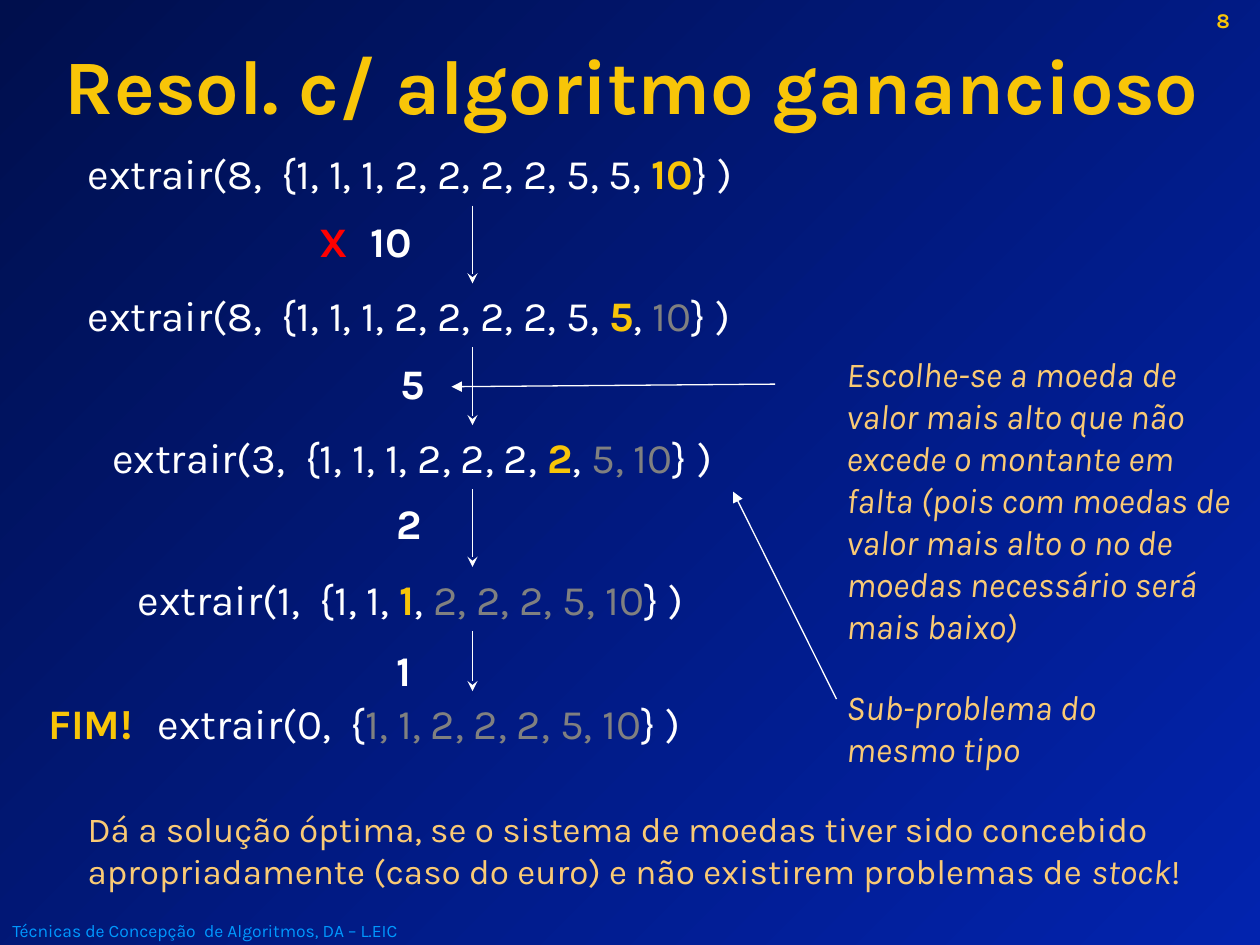
from lxml.etree import SubElement
from pptx import Presentation
from pptx.dml.color import RGBColor
from pptx.enum.shapes import MSO_CONNECTOR as Connector, MSO_SHAPE as Shape
from pptx.enum.text import MSO_ANCHOR as Anchor, PP_ALIGN as Align
from pptx.oxml.ns import qn
from pptx.util import Pt

WHITE, GOLD, SAND, GREY = "FFFFFF", "F8C508", "FACA74", "808080"
RED, BLUE = "FF0000", "0099FF"
NAVY, ROYAL = "000F4D", "0223AE"

# Content: each call is (top, width, amount, free coins, chosen coin, used coins)
TITLE = "Resol. c/ algoritmo ganancioso"
FOOTER = "Técnicas de Concepção  de Algoritmos, DA – L.EIC"
CALLS = [
    (81, 454, 8, "1, 1, 1, 2, 2, 2, 2, 5, 5, ", "10", ""),
    (162, 454, 8, "1, 1, 1, 2, 2, 2, 2, 5, ", "5", "10"),
    (243, 426, 3, "1, 1, 1, 2, 2, 2, ", "2", "5, 10"),
    (324, 397, 1, "1, 1, ", "1", "2, 2, 2, 5, 10"),
    (395, 374, 0, "", "", "1, 1, 2, 2, 2, 5, 10"),
]
# Labels beside the calls: (text, left, top, width, colour, alignment)
LABELS = [
    ("X", 175.5, 119.5, 29, RED, Align.LEFT),
    ("10", 204.5, 119.5, 46, WHITE, Align.LEFT),
    ("5", 222, 201, 29, WHITE, Align.LEFT),
    ("2", 219.5, 281, 26, WHITE, Align.LEFT),
    ("1", 219.5, 365, 26, WHITE, Align.LEFT),
    ("FIM!", 11.5, 395, 71.5, GOLD, Align.RIGHT),
]
CHOICE = ("Escolhe-se a moeda de valor mais alto que não excede o montante em "
          "falta (pois com moedas de valor mais alto o nº de moedas necessário "
          "será mais baixo)")
SUBPROBLEM = "Sub-problema do mesmo tipo"
CONCLUSION = [
    ("Dá a solução óptima, se o sistema de moedas tiver sido concebido "
     "apropriadamente (caso do euro) e não existirem problemas de ", {}),
    ("stock", {"italic": True}),
    ("!", {}),
]
POINTERS = [(443, 219.5, 258, 221), (478, 399.5, 419, 281)]
CALL_AXIS, CALL_HEIGHT = 270, 36.5

prs = Presentation()
prs.slide_width, prs.slide_height = Pt(720), Pt(540)
slide = prs.slides.add_slide(prs.slide_layouts[6])


def rgb(value):
    return RGBColor.from_string(value)


def write(text, left, top, width, height, size=24, color=WHITE, bold=False,
          italic=False, align=Align.LEFT, anchor=Anchor.TOP, wrap=True,
          margins=(7.2, 3.6), outline=None):
    """Place text, either one string or a list of (text, format changes)."""
    place = [Pt(v) for v in (left, top, width, height)]
    if outline is None:
        box = slide.shapes.add_textbox(*place)
    else:
        box = slide.shapes.add_shape(outline, *place)
        box.shadow.inherit = False
        box.fill.background()
        box.line.fill.background()
    frame = box.text_frame
    frame.word_wrap, frame.vertical_anchor = wrap, anchor
    frame.margin_left = frame.margin_right = Pt(margins[0])
    frame.margin_top = frame.margin_bottom = Pt(margins[1])
    paragraph = frame.paragraphs[0]
    paragraph.alignment = align
    for words, changes in [(text, {})] if isinstance(text, str) else text:
        look = {"color": color, "bold": bold, "italic": italic, **changes}
        run = paragraph.add_run()
        run.text = words
        font = run.font
        font.name, font.size = "Karla", Pt(size)
        font.bold, font.italic = look["bold"], look["italic"]
        font.color.rgb = rgb(look["color"])


def arrow(x1, y1, x2, y2, head):
    line = slide.shapes.add_connector(
        Connector.STRAIGHT, Pt(x1), Pt(y1), Pt(x2), Pt(y2))
    line.line.color.rgb = rgb(WHITE)
    line.line.width = Pt(0.75)
    SubElement(line.line._get_or_add_ln(), qn("a:tailEnd"), type=head)
    SubElement(line._element.spPr, qn("a:effectLst"))


def call_runs(amount, free, chosen, used):
    runs = [
        (f"extrair({amount},  {{{free}", {}),
        (chosen, {"color": GOLD, "bold": True}),
        (", " if chosen and used else "", {}),
        (used, {"color": GREY}),
        ("} )", {}),
    ]
    return [run for run in runs if run[0]]


# Background
fill = slide.background.fill
fill.gradient()
fill.gradient_angle = 315
for stop, shade in zip(fill.gradient_stops, (NAVY, ROYAL)):
    stop.color.rgb = rgb(shade)

# Page number, footer and title
write("8", 678, 5, 42, 13, size=12, color=GOLD, bold=True,
      align=Align.CENTER, anchor=Anchor.MIDDLE, margins=(0, 0))
write(FOOTER, 0, 522, 548, 19, size=10, color=BLUE)
write(TITLE, 30, 18, 672, 60, size=44, color=GOLD, bold=True)

# Chain of calls, centred on one axis
for top, width, *call in CALLS:
    write(call_runs(*call), CALL_AXIS - width / 2, top, width, CALL_HEIGHT,
          wrap=False)
for upper, lower in zip(CALLS, CALLS[1:]):
    arrow(CALL_AXIS, upper[0] + CALL_HEIGHT, CALL_AXIS, lower[0], "stealth")
for text, left, top, width, color, align in LABELS:
    write(text, left, top, width, CALL_HEIGHT, color=color, bold=True,
          align=align)

# Remarks and their pointers
write(CHOICE, 476.5, 198, 234, 175, size=20, color=SAND, italic=True)
write(SUBPROBLEM, 476.5, 388, 180, 60.5, size=20, color=SAND, italic=True,
      outline=Shape.FOLDED_CORNER)
write(CONCLUSION, 43, 458, 642, 55.5, size=20, color=SAND)
for ends in POINTERS:
    arrow(*ends, "triangle")

prs.save("out.pptx")
